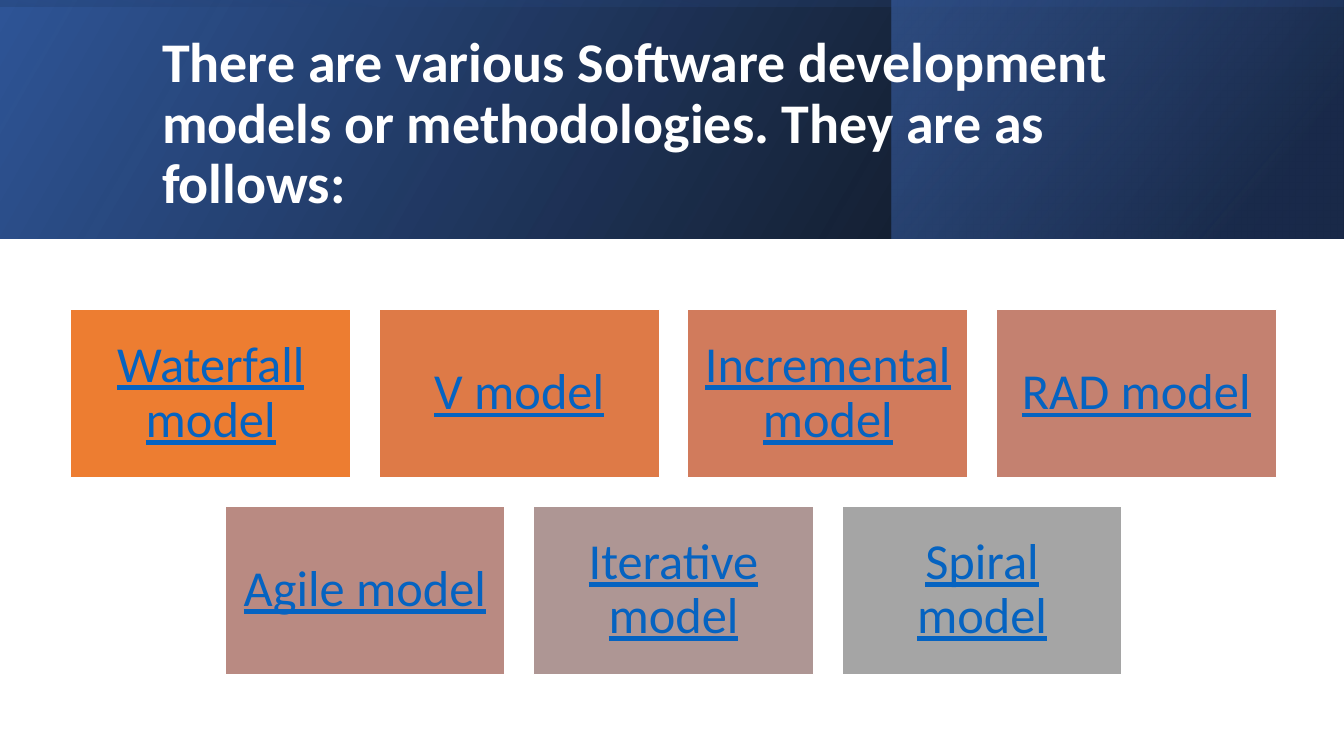
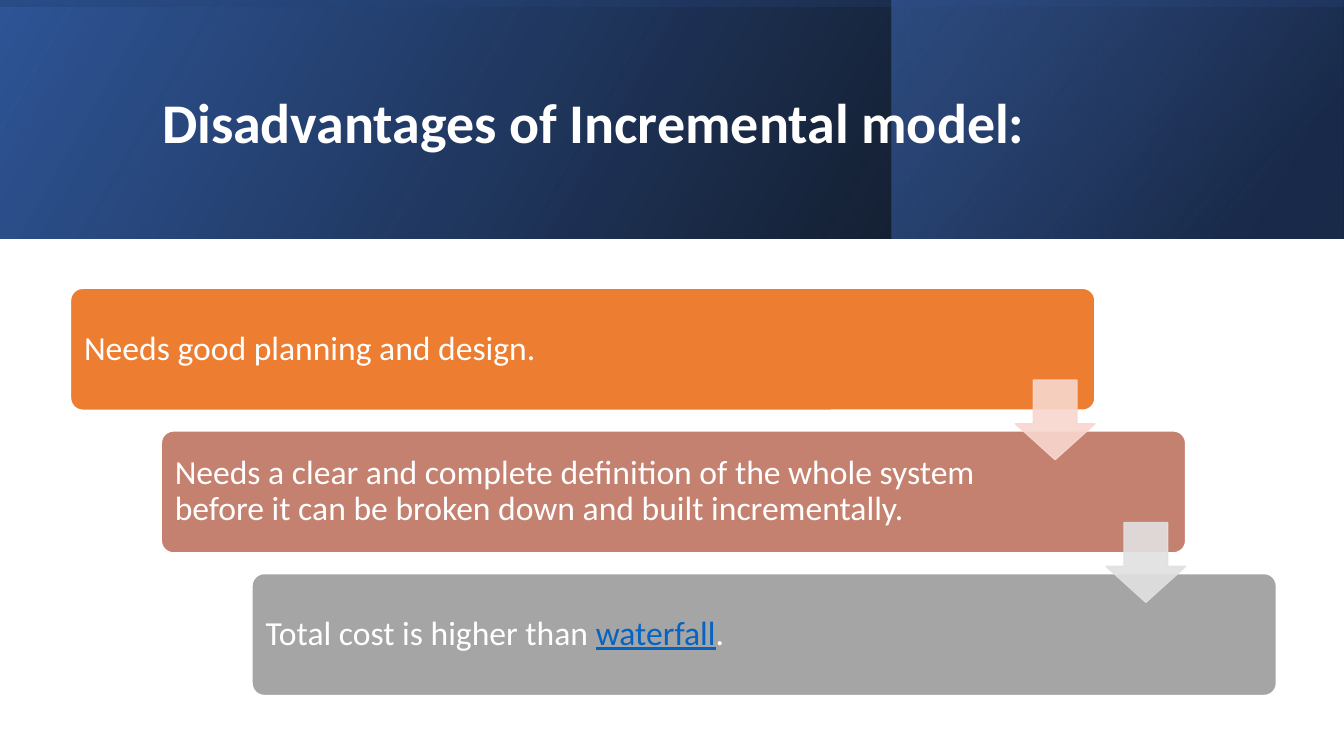
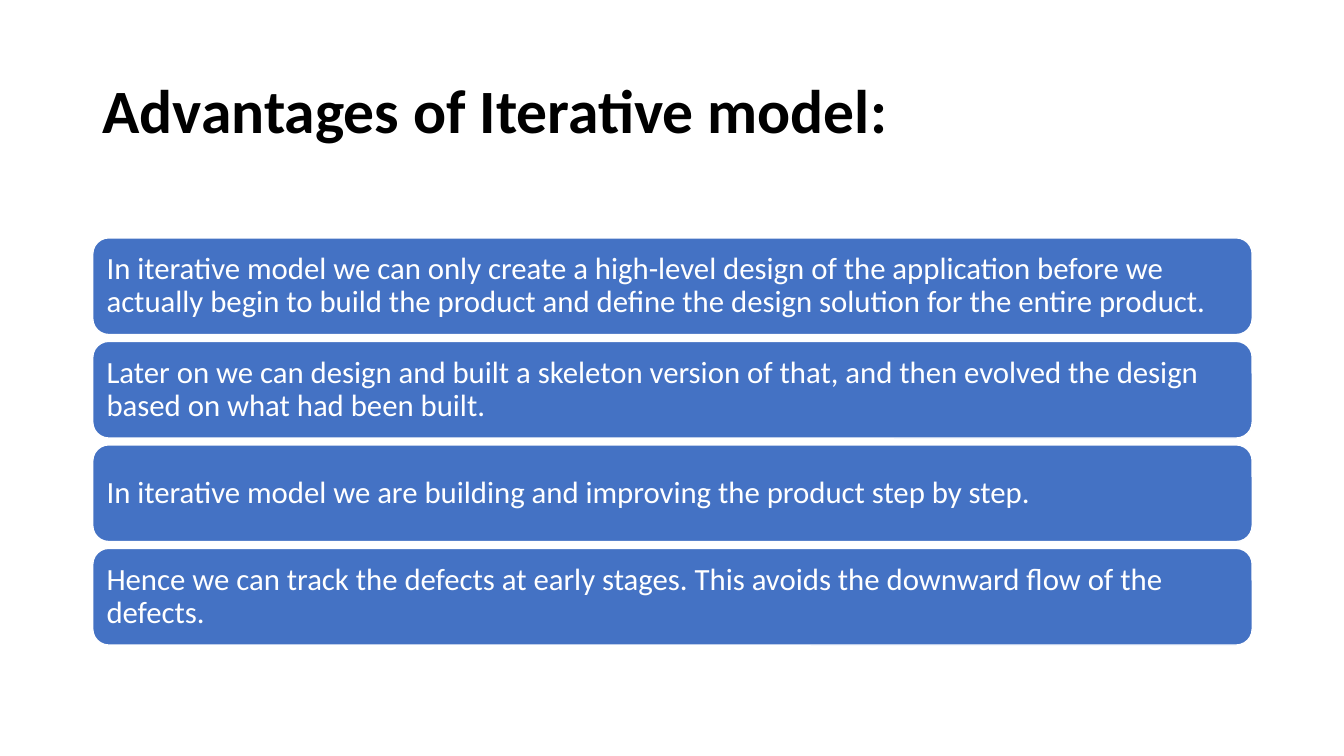
from lxml import etree
from pptx import Presentation
from pptx.dml.color import RGBColor
from pptx.enum.shapes import MSO_SHAPE
from pptx.enum.text import MSO_ANCHOR, PP_ALIGN
from pptx.oxml import parse_xml
from pptx.oxml.ns import nsdecls, qn
from pptx.util import Inches, Pt

COLOURS = {
    "white": "FFFFFF", "black": "000000", "link": "0563C1",
    "blue": "4472C4", "deep": "2F5597", "navy": "203864",
    "orange": "ED7D31", "rose": "C48170", "grey": "A5A5A5",
    "amber": "DE7A47", "coral": "D17B5C", "clay": "B98A82", "mauve": "AE9694",
    "pale rose": "F8D7CE", "pale grey": "E1E1E1",
}
FONT = "Calibri"

# Content
MODELS_TITLE = "There are various Software development models or methodologies. They are as follows:"
MODEL_ROWS = [
    [("Waterfall model", "orange"), ("V model", "amber"),
     ("Incremental model", "coral"), ("RAD model", "rose")],
    [("Agile model", "clay"), ("Iterative model", "mauve"), ("Spiral model", "grey")],
]
DISADVANTAGES_TITLE = "Disadvantages of Incremental model:"
DISADVANTAGES = [
    ([("Needs good planning and design.", "white")], "orange"),
    ([("Needs a clear and complete definition of the whole system before it can be "
       "broken down and built incrementally.", "white")], "rose"),
    ([("Total cost is higher than ", "white"), ("waterfall", "link"), (".", "white")], "grey"),
]
ARROW_COLOURS = ["pale rose", "pale grey"]
ADVANTAGES_TITLE = "Advantages of Iterative model:"
ADVANTAGES = [
    "In iterative model we can only create a high-level design of the application before we "
    "actually begin to build the product and define the design solution for the entire product.",
    "Later on we can design and built a skeleton version of that, and then evolved the design "
    "based on what had been built.",
    "In iterative model we are building and improving the product step by step.",
    "Hence we can track the defects at early stages. This avoids the downward flow of the defects.",
]

# Header layers: place, rotation, gradient angle, stops (position, colour, opacity)
HEADER_LAYERS = [
    ((0, 0, 13.33, 2.37), 0, 330, [(0, "black", 96), (100, "deep", 100)]),
    ((8.84, 0, 4.48, 2.37), 0, 320, [(19, "navy", 68), (100, "blue", 48)]),
    ((5.48, -5.48, 2.37, 13.33), 270, 350, [(23, "deep", 16), (99, "black", 45)]),
]


def rgb(name):
    return RGBColor.from_string(COLOURS[name])


def write(box, spans, size, bold=False, align=PP_ALIGN.LEFT, insets=(0.1, 0.05, 0.1, 0.05)):
    """Write one paragraph of (text, colour) spans; links are underlined."""
    frame = box.text_frame
    frame.word_wrap = True
    frame.vertical_anchor = MSO_ANCHOR.MIDDLE
    for side, inset in zip(("left", "top", "right", "bottom"), insets):
        setattr(frame, f"margin_{side}", Inches(inset))
    para = frame.paragraphs[0]
    para.alignment = align
    para.line_spacing = 0.9
    for text, colour in spans:
        span = para.add_run()
        span.text = text
        style = {"name": FONT, "size": Pt(size), "bold": bold, "underline": colour == "link"}
        for key, value in style.items():
            setattr(span.font, key, value)
        span.font.color.rgb = rgb(colour)


def add_box(page, kind, place, fill, line="white", adjustments=()):
    box = page.shapes.add_shape(kind, *map(Inches, place))
    box.shadow.inherit = False
    box.fill.solid()
    box.fill.fore_color.rgb = rgb(fill)
    box.line.color.rgb = rgb(line)
    box.line.width = Pt(1)
    for index, value in enumerate(adjustments):
        box.adjustments[index] = value
    return box


def add_title(page, text, place, size, colour):
    box = page.shapes.add_textbox(*map(Inches, place))
    write(box, [(text, colour)], size, bold=True)


def add_header(page, title):
    for place, rotation, angle, stops in HEADER_LAYERS:
        layer = add_box(page, MSO_SHAPE.RECTANGLE, place, "deep")
        layer.line.fill.background()
        layer.rotation = rotation
        properties = layer.element.spPr
        properties.find(qn("a:xfrm")).set("flipH", "1")
        stop_xml = "".join(
            f'<a:gs pos="{position * 1000}"><a:srgbClr val="{COLOURS[colour]}">'
            f'<a:alpha val="{opacity * 1000}"/></a:srgbClr></a:gs>'
            for position, colour, opacity in stops)
        gradient = parse_xml(
            f'<a:gradFill {nsdecls("a")} rotWithShape="1"><a:gsLst>{stop_xml}</a:gsLst>'
            f'<a:lin ang="{angle * 60000}" scaled="0"/></a:gradFill>')
        properties.replace(properties.find(qn("a:solidFill")), gradient)
    add_title(page, title, (1.51, 0.38, 10.63, 1.72), 40, "white")


def stack(top, bottom, height, count):
    """Tops of equally spaced bars between two heights."""
    pitch = (bottom - top - height) / (count - 1)
    return [top + index * pitch for index in range(count)]


def build_models(page):
    add_header(page, MODELS_TITLE)
    width, height, gap, centre, top = 2.78, 1.67, 0.28, 6.68, 3.07
    for row, models in enumerate(MODEL_ROWS):
        left = centre - (len(models) * (width + gap) - gap) / 2
        for column, (name, fill) in enumerate(models):
            place = (left + column * (width + gap), top + row * (height + gap), width, height)
            box = add_box(page, MSO_SHAPE.RECTANGLE, place, fill)
            write(box, [(name, "link")], 36, align=PP_ALIGN.CENTER, insets=(0.15,) * 4)


def build_disadvantages(page):
    add_header(page, DISADVANTAGES_TITLE)
    left, step, width, height, arrow_size = 0.7, 0.9, 10.16, 1.21, 0.79
    tops = stack(2.86, 6.9, height, len(DISADVANTAGES))
    for index, (spans, fill) in enumerate(DISADVANTAGES):
        place = (left + index * step, tops[index], width, height)
        box = add_box(page, MSO_SHAPE.ROUNDED_RECTANGLE, place, fill, adjustments=[0.1])
        write(box, spans, 24, insets=(0.1, 0.1, 1.78, 0.1))
    # Arrows hang from the right end of each bar
    for index, colour in enumerate(ARROW_COLOURS):
        place = (left + index * step + width - arrow_size, tops[index] + 0.91,
                 arrow_size, arrow_size)
        arrow = add_box(page, MSO_SHAPE.DOWN_ARROW, place, colour, colour, [0.55, 0.45])
        for tint in arrow.element.spPr.iter(qn("a:srgbClr")):
            etree.SubElement(tint, qn("a:alpha")).set("val", "90000")


def build_advantages(page):
    add_title(page, ADVANTAGES_TITLE, (0.92, 0.4, 11.5, 1.45), 44, "black")
    height = 0.96
    for top, text in zip(stack(2.36, 6.4, height, len(ADVANTAGES)), ADVANTAGES):
        box = add_box(page, MSO_SHAPE.ROUNDED_RECTANGLE, (0.92, top, 11.5, height), "blue")
        write(box, [(text, "white")], 22, insets=(0.09,) * 4)


def main():
    deck = Presentation()
    deck.slide_width, deck.slide_height = Inches(13.33), Inches(7.5)
    for build in (build_models, build_disadvantages, build_advantages):
        build(deck.slides.add_slide(deck.slide_layouts[6]))
    deck.save("out.pptx")


if __name__ == "__main__":
    main()
